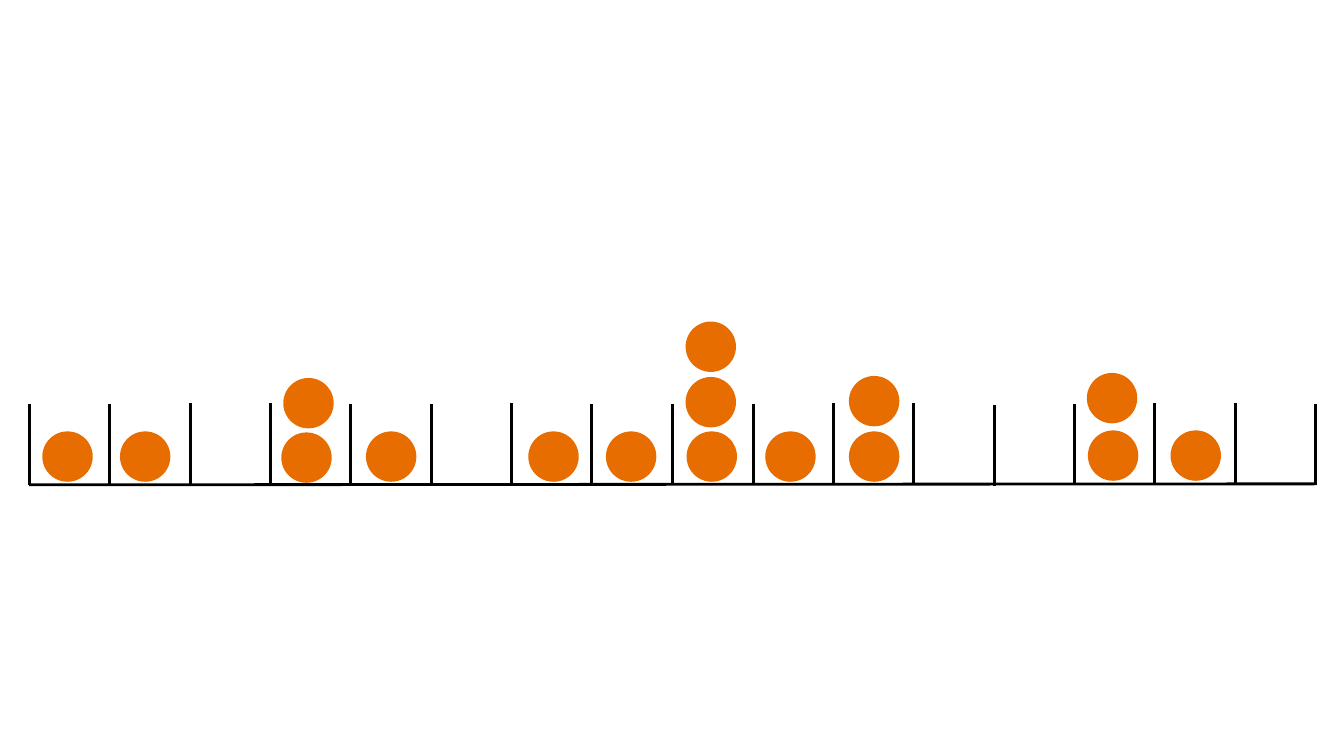
from lxml.etree import SubElement
from pptx import Presentation
from pptx.dml.color import RGBColor
from pptx.enum.shapes import MSO_CONNECTOR, MSO_SHAPE
from pptx.oxml.ns import qn
from pptx.util import Emu, Pt

BLACK = RGBColor(0x00, 0x00, 0x00)
ORANGE = RGBColor(0xE7, 0x6D, 0x00)
EMU_PER_PX = 9144

AXIS_LEFT, AXIS_RIGHT = 29, 1305
SLOT_HEIGHT = 80
BALL_SIZE = 50
DIVIDER_FEET = [481, 481, 480, 480, 481, 481, 480, 481, 481,
                481, 480, 480, 482, 481, 480, 480, 481]
BALL_STACKS = [
    [(42, 428)],
    [(119, 428)],
    [(279, 429), (281, 375)],
    [(363, 428)],
    [(524, 428)],
    [(601, 428)],
    [(681, 428), (680, 374), (680, 319)],
    [(759, 428)],
    [(842, 428), (842, 373)],
    [(1079, 427), (1078, 370)],
    [(1161, 427)],
]


def px(length):
    return Emu(length * EMU_PER_PX)


class SlotDiagram:
    line_width = Pt(2)

    def __init__(self, slide):
        self.slide = slide

    def line(self, x1, y1, x2, y2):
        stroke = self.slide.shapes.add_connector(
            MSO_CONNECTOR.STRAIGHT, px(x1), px(y1), px(x2), px(y2))
        stroke.line.color.rgb = BLACK
        stroke.line.width = self.line_width
        SubElement(stroke._element.spPr, qn("a:effectLst"))

    def ball(self, left, top):
        ball = self.slide.shapes.add_shape(
            MSO_SHAPE.OVAL, px(left), px(top), px(BALL_SIZE), px(BALL_SIZE))
        ball.shadow.inherit = False
        ball.fill.solid()
        ball.fill.fore_color.rgb = ORANGE
        ball.line.fill.background()


def main():
    deck = Presentation()
    deck.slide_width = px(1333)
    deck.slide_height = px(750)
    diagram = SlotDiagram(deck.slides.add_slide(deck.slide_layouts[6]))

    diagram.line(AXIS_LEFT, 481, AXIS_RIGHT, 480)
    slot_count = len(DIVIDER_FEET) - 1
    for index, foot in enumerate(DIVIDER_FEET):
        x = AXIS_LEFT + round(index * (AXIS_RIGHT - AXIS_LEFT) / slot_count)
        diagram.line(x, foot, x, foot - SLOT_HEIGHT)

    for stack in BALL_STACKS:
        for left, top in stack:
            diagram.ball(left, top)

    deck.save("out.pptx")


if __name__ == "__main__":
    main()
